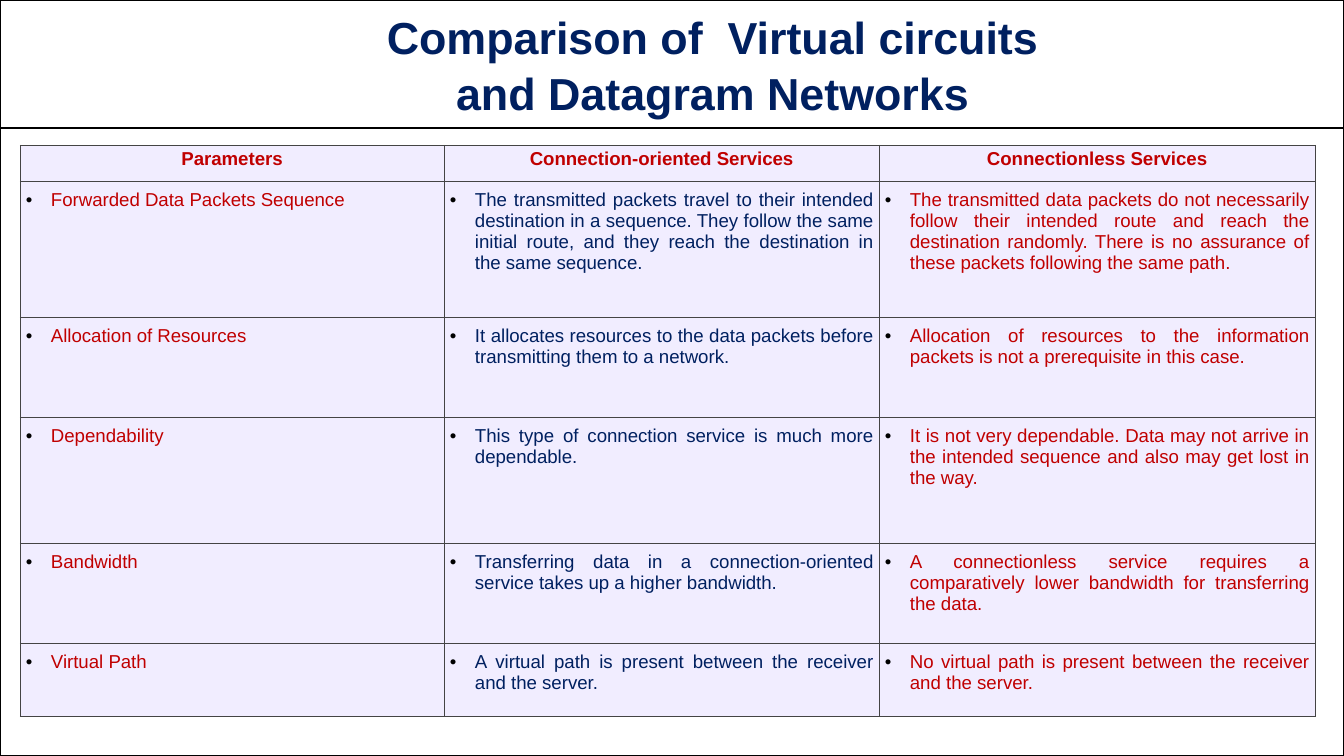
from lxml.etree import SubElement
from pptx import Presentation
from pptx.dml.color import RGBColor
from pptx.enum.shapes import MSO_CONNECTOR, MSO_SHAPE
from pptx.enum.text import MSO_ANCHOR, MSO_AUTO_SIZE, PP_ALIGN
from pptx.oxml.ns import qn
from pptx.util import Emu, Pt

PX_PER_INCH = 134.4
WIDTH, HEIGHT = 1344, 756
NAVY, RED, BLACK, GREY, LILAC = "002060", "C00000", "000000", "444444", "F1EDFF"

COLUMN_WIDTHS = [424, 435, 436]
ROW_HEIGHTS = [36, 136, 100, 126, 100, 74]
COLUMN_COLORS = [RED, NAVY, RED]
ROWS = [
    ["Parameters", "Connection-oriented Services", "Connectionless Services"],
    ["Forwarded Data Packets Sequence",
     "The transmitted packets travel to their intended destination in a sequence. "
     "They follow the same initial route, and they reach the destination in the same sequence.",
     "The transmitted data packets do not necessarily follow their intended route and reach "
     "the destination randomly. There is no assurance of these packets following the same path."],
    ["Allocation of Resources",
     "It allocates resources to the data packets before transmitting them to a network.",
     "Allocation of resources to the information packets is not a prerequisite in this case."],
    ["Dependability",
     "This type of connection service is much more dependable.",
     "It is not very dependable. Data may not arrive in the intended sequence "
     "and also may get lost in the way."],
    ["Bandwidth",
     "Transferring data in a connection-oriented service takes up a higher bandwidth.",
     "A connectionless service requires a comparatively lower bandwidth for transferring the data."],
    ["Virtual Path",
     "A virtual path is present between the receiver and the server.",
     "No virtual path is present between the receiver and the server."],
]


def px(n):
    return Emu(round(n * 914400 / PX_PER_INCH))


def rgb(color):
    return RGBColor.from_string(color)


def add_run(p, text, size, color, bold=False):
    r = p.add_run()
    r.text = text
    r.font.name = "Arial"
    r.font.size = Pt(size)
    r.font.bold = bold
    r.font.color.rgb = rgb(color)


def add_frame(s):
    """Outline the slide and rule off the heading area."""
    sp = s.shapes.add_shape(MSO_SHAPE.RECTANGLE, 0, 0, px(WIDTH), px(HEIGHT))
    sp.shadow.inherit = False
    sp.fill.background()
    rule = s.shapes.add_connector(MSO_CONNECTOR.STRAIGHT, 0, px(128), px(WIDTH), px(128))
    SubElement(rule._element.spPr, qn("a:effectLst"))
    for line in (sp.line, rule.line):
        line.color.rgb = rgb(BLACK)
        line.width = Pt(1)


def set_title(s, text):
    title = s.shapes.title
    title.left, title.top, title.width, title.height = px(336), px(0), px(753), px(176)
    tf = title.text_frame
    tf.word_wrap = True
    tf.auto_size = MSO_AUTO_SIZE.NONE
    tf.vertical_anchor = MSO_ANCHOR.TOP
    p = tf.paragraphs[0]
    p.alignment = PP_ALIGN.CENTER
    p.line_spacing = 1.05
    add_run(p, text, 24, NAVY, bold=True)


def set_borders(cell, bottom):
    tcPr = cell._tc.get_or_add_tcPr()
    for side, width in (("L", 0.3), ("R", 0.3), ("T", 0.3), ("B", bottom)):
        ln = SubElement(tcPr, qn(f"a:ln{side}"), w=str(Pt(width)))
        fill = SubElement(ln, qn("a:solidFill"))
        SubElement(fill, qn("a:srgbClr"), val=GREY)


def set_bullet(p, indent):
    pPr = p._p.get_or_add_pPr()
    pPr.set("marL", str(indent))
    pPr.set("indent", str(-indent))
    SubElement(SubElement(pPr, qn("a:buClr")), qn("a:srgbClr"), val=BLACK)
    SubElement(pPr, qn("a:buFont"), typeface="Arial")
    SubElement(pPr, qn("a:buChar"), char="•")


def fill_cell(cell, text, color, header, last):
    set_borders(cell, 0.6 if last else 0.3)
    cell.fill.solid()
    cell.fill.fore_color.rgb = rgb(LILAC)
    cell.margin_left = cell.margin_right = px(3 if header else 6)
    cell.margin_top = cell.margin_bottom = px(4 if header else 9)
    p = cell.text_frame.paragraphs[0]
    if header:
        p.alignment = PP_ALIGN.CENTER
    else:
        p.alignment = PP_ALIGN.JUSTIFY
        set_bullet(p, px(25))
    add_run(p, text, 10, RED if header else color, bold=header)


def add_comparison_table(s):
    frame = s.shapes.add_table(len(ROWS), len(COLUMN_WIDTHS), px(20), px(145),
                               px(sum(COLUMN_WIDTHS)), px(sum(ROW_HEIGHTS)))
    table = frame.table
    table.first_row = table.horz_banding = False
    for column, width in zip(table.columns, COLUMN_WIDTHS):
        column.width = px(width)
    for i, (texts, height) in enumerate(zip(ROWS, ROW_HEIGHTS)):
        table.rows[i].height = px(height)
        for j, (text, color) in enumerate(zip(texts, COLUMN_COLORS)):
            fill_cell(table.cell(i, j), text, color, header=i == 0, last=i == len(ROWS) - 1)


def main():
    prs = Presentation()
    prs.slide_width, prs.slide_height = px(WIDTH), px(HEIGHT)
    s = prs.slides.add_slide(prs.slide_layouts[5])
    add_frame(s)
    set_title(s, "Comparison of  Virtual circuits and Datagram Networks")
    add_comparison_table(s)
    prs.save("out.pptx")


if __name__ == "__main__":
    main()
